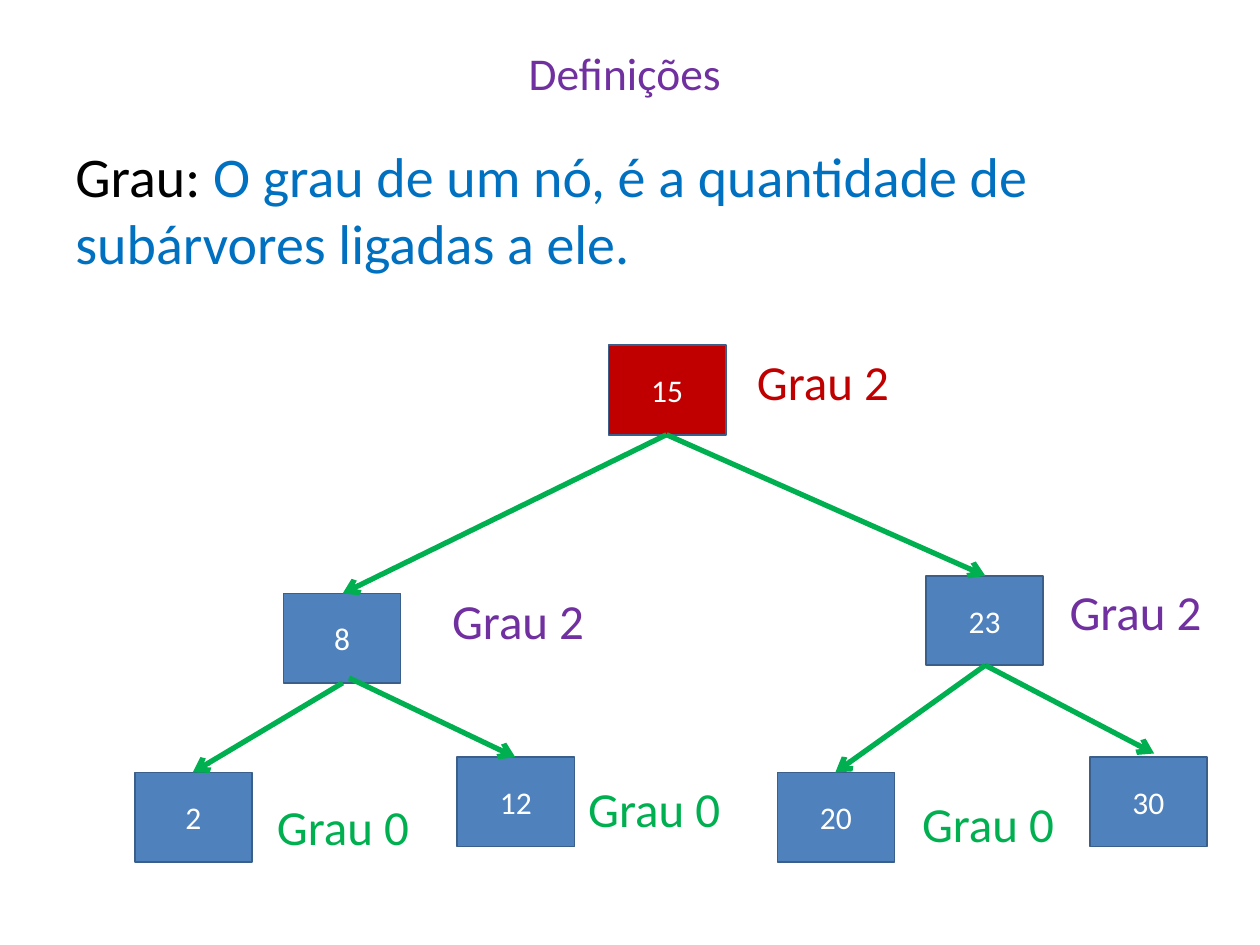
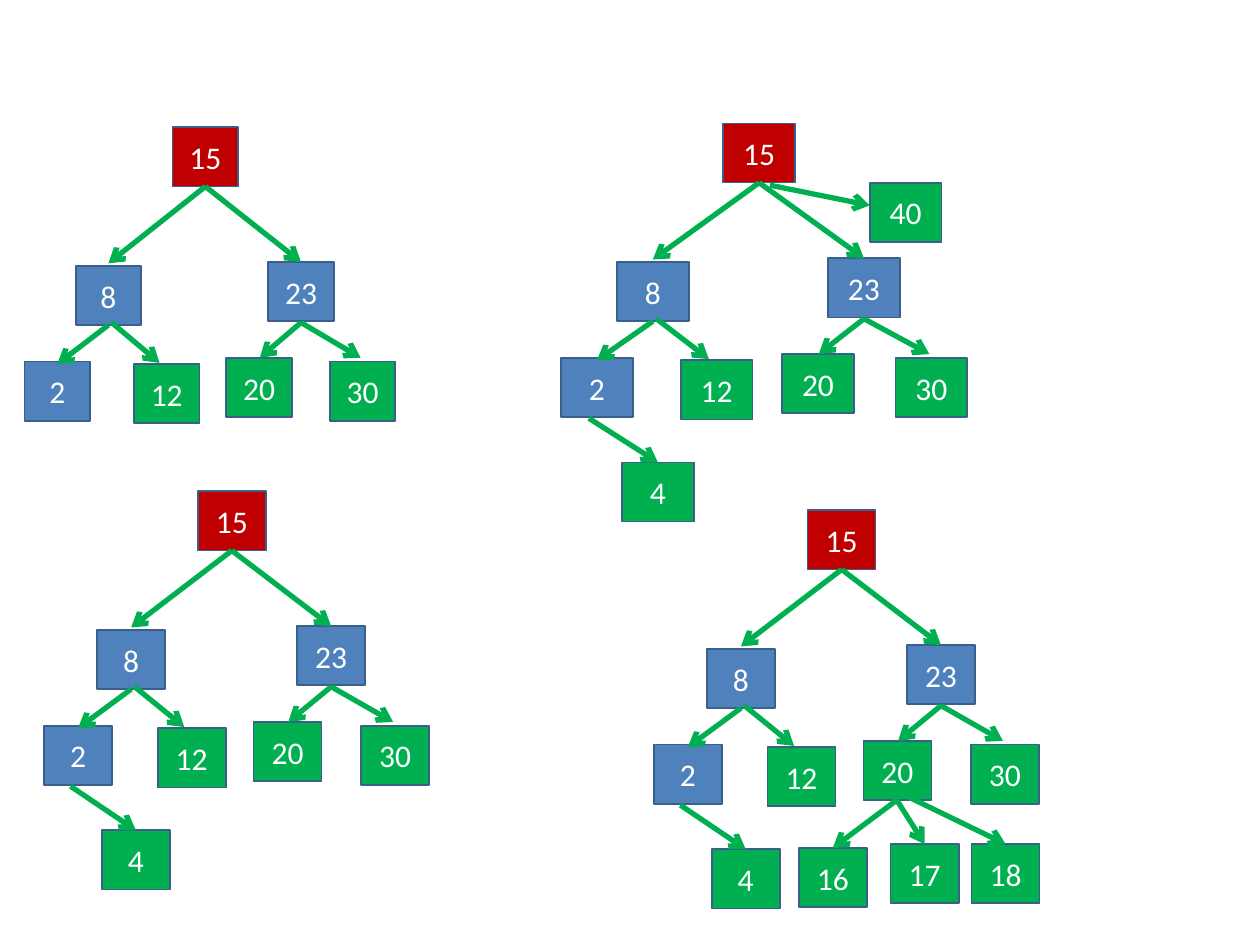
from dataclasses import dataclass
from typing import Any, NamedTuple

from lxml import etree
from pptx import Presentation
from pptx.dml.color import RGBColor as RGB
from pptx.enum.shapes import MSO_CONNECTOR as Connector, MSO_SHAPE as Shape
from pptx.enum.text import MSO_ANCHOR as Anchor, MSO_AUTO_SIZE as AutoSize, PP_ALIGN as Align
from pptx.oxml.ns import qn
from pptx.util import Inches, Pt


@dataclass(frozen=True)
class Theme:
    font: str = "Calibri"
    black: RGB = RGB(0x00, 0x00, 0x00)
    white: RGB = RGB(0xFF, 0xFF, 0xFF)
    purple: RGB = RGB(0x70, 0x30, 0xA0)
    sky: RGB = RGB(0x00, 0x70, 0xC0)
    blue: RGB = RGB(0x4F, 0x81, 0xBD)
    navy: RGB = RGB(0x3A, 0x5F, 0x8B)
    red: RGB = RGB(0xC0, 0x00, 0x00)
    green: RGB = RGB(0x00, 0xB0, 0x50)
    title_size: Pt = Pt(26)
    definition_size: Pt = Pt(32)
    degree_size: Pt = Pt(28)
    node_size: Pt = Pt(18)
    border: Pt = Pt(1)
    branch: Pt = Pt(3)


THEME = Theme()


class Node(NamedTuple):
    value: int
    x: float
    y: float
    color: RGB


class Branch(NamedTuple):
    """Arrow from a parent to a child."""
    x1: float
    y1: float
    x2: float
    y2: float


class Degree(NamedTuple):
    text: str
    x: float
    y: float
    color: RGB
    width: float = 1.34


@dataclass(frozen=True)
class Tree:
    """Nodes and branches; x counts in units of x_unit from the left."""
    left: float
    top: float
    node_width: float
    node_height: float
    x_unit: float
    nodes: tuple[Node, ...]
    branches: tuple[Branch, ...]


# Slide 1: tree in inches, with the degree of each node
DEFINITION_TREE = Tree(
    0, 0, 0.93, 0.71, 1,
    nodes=(
        Node(8, 2.25, 4.71, THEME.blue),
        Node(12, 3.63, 6.01, THEME.blue),
        Node(15, 4.83, 2.74, THEME.red),
        Node(2, 1.07, 6.13, THEME.blue),
        Node(20, 6.17, 6.13, THEME.blue),
        Node(23, 7.35, 4.57, THEME.blue),
        Node(30, 8.65, 6.01, THEME.blue),
    ),
    branches=(
        Branch(5.29, 3.45, 2.72, 4.71),
        Branch(5.29, 3.45, 7.82, 4.57),
        Branch(7.82, 5.28, 9.16, 5.98),
        Branch(7.82, 5.28, 6.63, 6.13),
        Branch(2.77, 5.38, 4.09, 6.01),
        Branch(2.72, 5.42, 1.53, 6.13),
    ),
)
DEGREES = (
    Degree("Grau 2", 5.91, 2.74, THEME.red, 1.46),
    Degree("Grau 2", 8.39, 4.57, THEME.purple),
    Degree("Grau 2", 3.49, 4.64, THEME.purple),
    Degree("Grau 0", 2.10, 6.27, THEME.green),
    Degree("Grau 0", 4.57, 6.13, THEME.green),
    Degree("Grau 0", 7.22, 6.25, THEME.green),
)

# Slide 2: one basic tree, measured from its root in node widths, and additions
BASE_NODES = (
    Node(8, -1.48, 1.10, THEME.blue),
    Node(12, -0.59, 1.88, THEME.green),
    Node(15, 0, 0, THEME.red),
    Node(20, 0.82, 1.83, THEME.green),
    Node(23, 1.46, 1.07, THEME.blue),
    Node(30, 2.40, 1.86, THEME.green),
    Node(2, -2.26, 1.86, THEME.blue),
)
BASE_BRANCHES = (
    Branch(0.50, 0.47, -0.98, 1.08),
    Branch(0.50, 0.47, 1.96, 1.07),
    Branch(1.96, 1.55, 2.87, 1.83),
    Branch(1.96, 1.55, 1.33, 1.83),
    Branch(-0.93, 1.55, -0.20, 1.87),
    Branch(-0.98, 1.57, -1.76, 1.88),
)
NODE_4 = (Node(4, -1.41, 2.69, THEME.green),)
BRANCH_4 = (Branch(-1.87, 2.34, -0.91, 2.69),)
NODE_40 = (Node(40, 2.04, 0.47, THEME.green),)
BRANCH_40 = (Branch(0.65, 0.49, 2.04, 0.65),)
NODES_UNDER_20 = (
    Node(16, -0.13, 2.68, THEME.green),
    Node(17, 1.22, 2.65, THEME.green),
    Node(18, 2.41, 2.65, THEME.green),
)
BRANCHES_UNDER_20 = (
    Branch(1.31, 2.30, 0.37, 2.68),
    Branch(1.31, 2.30, 1.72, 2.65),
    Branch(1.50, 2.28, 2.91, 2.65),
)


def grown_tree(left: float, top: float, width: float,
               nodes: tuple[Node, ...] = (), branches: tuple[Branch, ...] = ()) -> Tree:
    """The basic tree with its root at left, top, plus further nodes."""
    return Tree(left, top, width, 0.47, width, BASE_NODES + nodes, BASE_BRANCHES + branches)


GROWN_TREES = (
    grown_tree(1.57, 3.90, 0.54, NODE_4, BRANCH_4),
    grown_tree(1.37, 1.01, 0.52),
    grown_tree(5.74, 0.98, 0.57, NODE_4 + NODE_40, BRANCH_4 + BRANCH_40),
    grown_tree(6.41, 4.05, 0.54, NODE_4 + NODES_UNDER_20, BRANCH_4 + BRANCHES_UNDER_20),
)


# Drawing helpers
def set_format(target: Any, values: dict[str, Any]) -> None:
    for name, value in values.items():
        setattr(target, name, value)


def add_run(paragraph: Any, text: str, size: Pt, color: RGB) -> None:
    run = paragraph.add_run()
    run.text = text
    set_format(run.font, {"name": THEME.font, "size": size})
    run.font.color.rgb = color


def draw_node(shapes: Any, tree: Tree, node: Node) -> None:
    box = shapes.add_shape(
        Shape.RECTANGLE,
        Inches(tree.left + node.x * tree.x_unit), Inches(tree.top + node.y),
        Inches(tree.node_width), Inches(tree.node_height))
    box.shadow.inherit = False
    box.fill.solid()
    box.fill.fore_color.rgb = node.color
    box.line.color.rgb = THEME.navy
    box.line.width = THEME.border
    set_format(box.text_frame, {"vertical_anchor": Anchor.MIDDLE, "word_wrap": True})
    value = box.text_frame.paragraphs[0]
    value.alignment = Align.CENTER
    add_run(value, str(node.value), THEME.node_size, THEME.white)


def draw_branch(shapes: Any, tree: Tree, branch: Branch) -> None:
    arrow = shapes.add_connector(
        Connector.STRAIGHT,
        Inches(tree.left + branch.x1 * tree.x_unit), Inches(tree.top + branch.y1),
        Inches(tree.left + branch.x2 * tree.x_unit), Inches(tree.top + branch.y2))
    arrow.line.color.rgb = THEME.green
    arrow.line.width = THEME.branch
    properties = arrow.element.spPr
    etree.SubElement(properties.find(qn("a:ln")), qn("a:tailEnd"), type="arrow")
    etree.SubElement(properties, qn("a:effectLst"))


def draw_tree(shapes: Any, tree: Tree) -> None:
    for node in tree.nodes:
        draw_node(shapes, tree, node)
    for branch in tree.branches:
        draw_branch(shapes, tree, branch)


def draw_degree(shapes: Any, degree: Degree) -> None:
    label = shapes.add_textbox(
        Inches(degree.x), Inches(degree.y), Inches(degree.width), Inches(0.56))
    set_format(label.text_frame, {"word_wrap": True, "auto_size": AutoSize.SHAPE_TO_FIT_TEXT})
    add_run(label.text_frame.paragraphs[0], degree.text, THEME.degree_size, degree.color)


def draw_title(slide: Any, text: str) -> None:
    title = slide.shapes.title
    set_format(title, {"left": Inches(0.5), "top": Inches(0.3),
                       "width": Inches(9), "height": Inches(0.54)})
    set_format(title.text_frame, {"vertical_anchor": Anchor.MIDDLE, "word_wrap": True,
                                  "auto_size": AutoSize.NONE})
    heading = title.text_frame.paragraphs[0]
    heading.alignment = Align.CENTER
    add_run(heading, text, THEME.title_size, THEME.purple)


# Slides
def build_definition(deck: Any) -> None:
    slide = deck.slides.add_slide(deck.slide_layouts[5])
    draw_title(slide, "Definições ")
    definition = slide.shapes.add_textbox(Inches(0.5), Inches(1.07), Inches(9), Inches(1.42))
    definition.text_frame.word_wrap = True
    sentence = definition.text_frame.paragraphs[0]
    add_run(sentence, "Grau: ", THEME.definition_size, THEME.black)
    add_run(sentence, "O grau de um nó, é a quantidade de subárvores ligadas a ele.",
            THEME.definition_size, THEME.sky)
    draw_tree(slide.shapes, DEFINITION_TREE)
    for degree in DEGREES:
        draw_degree(slide.shapes, degree)


def build_growth(deck: Any) -> None:
    slide = deck.slides.add_slide(deck.slide_layouts[6])
    for tree in GROWN_TREES:
        draw_tree(slide.shapes.add_group_shape().shapes, tree)


def main() -> None:
    deck = Presentation()
    set_format(deck, {"slide_width": Inches(10), "slide_height": Inches(7.5)})
    build_definition(deck)
    build_growth(deck)
    deck.save("out.pptx")


if __name__ == "__main__":
    main()
